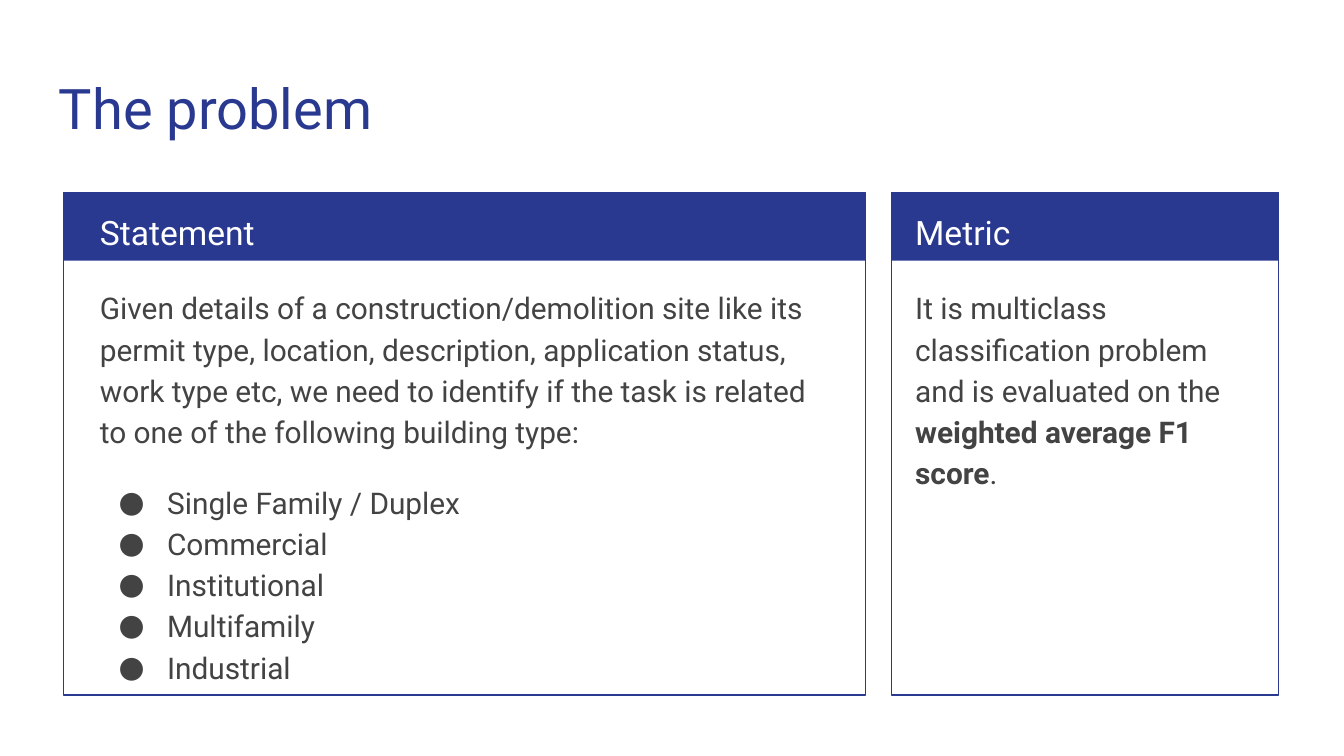
from dataclasses import dataclass
from typing import Optional

from lxml.etree import SubElement
from pptx import Presentation
from pptx.dml.color import RGBColor
from pptx.enum.shapes import MSO_SHAPE
from pptx.oxml.ns import qn
from pptx.util import Pt

NAVY, GREY, WHITE = "2A3990", "434343", "FFFFFF"
FONT = "Roboto"
TOP, HEAD, TALL = 103, 36.7, 269.3


@dataclass
class Run:
    text: str
    bold: bool = False


@dataclass
class Para:
    runs: list[Run]
    dot: bool = False
    before: float = 0
    after: float = 0


@dataclass
class Panel:
    left: float
    width: float
    inset: float
    span: float
    title: str
    body: list[Para]


def color(code: str) -> RGBColor:
    return RGBColor.from_string(code)


def add_dot(para) -> None:
    props = para._p.get_or_add_pPr()
    props.set("marL", str(Pt(36)))
    props.set("indent", str(Pt(-26)))
    tint = SubElement(props, qn("a:buClr"))
    SubElement(tint, qn("a:srgbClr"), val=GREY)
    SubElement(props, qn("a:buFont"), typeface=FONT)
    SubElement(props, qn("a:buChar"), char="●")


def add_text(slide, left: float, top: float, width: float, height: float,
             paras: list[Para], size: float, tint: str,
             gap: float = 1.15) -> None:
    frame = slide.shapes.add_textbox(
        Pt(left), Pt(top), Pt(width), Pt(height)).text_frame
    frame.word_wrap = True
    frame.margin_left = frame.margin_right = Pt(7.2)
    frame.margin_top = frame.margin_bottom = Pt(7.2)
    for i, item in enumerate(paras):
        para = frame.add_paragraph() if i else frame.paragraphs[0]
        para.line_spacing = gap
        para.space_before = Pt(item.before)
        para.space_after = Pt(item.after)
        if item.dot:
            add_dot(para)
        for part in item.runs:
            run = para.add_run()
            run.text = part.text
            run.font.name = FONT
            run.font.size = Pt(size)
            run.font.bold = part.bold
            run.font.color.rgb = color(tint)


def add_box(slide, left: float, width: float, height: float,
            fill: Optional[str] = None, line: Optional[str] = None) -> None:
    box = slide.shapes.add_shape(
        MSO_SHAPE.RECTANGLE, Pt(left), Pt(TOP), Pt(width), Pt(height))
    box.shadow.inherit = False
    if fill:
        box.fill.solid()
        box.fill.fore_color.rgb = color(fill)
    else:
        box.fill.background()
    if line:
        box.line.color.rgb = color(line)
        box.line.width = Pt(0.75)
    else:
        box.line.fill.background()


def add_panel(slide, panel: Panel) -> None:
    add_box(slide, panel.left, panel.width, HEAD, fill=NAVY)
    add_box(slide, panel.left, panel.width, TALL, line=NAVY)
    left = panel.left + panel.inset
    add_text(slide, left, TOP, panel.span, 36,
             [Para([Run(panel.title)])], 18, WHITE)
    add_text(slide, left, 145.4, panel.span, 220.3, panel.body, 16, GREY)


def main() -> None:
    deck = Presentation()
    deck.slide_width, deck.slide_height = Pt(720), Pt(405)
    slide = deck.slides.add_slide(deck.slide_layouts[6])
    add_text(slide, 24.5, 32.4, 671, 47.5,
             [Para([Run("The problem")])], 30, NAVY, 1)
    types = ["Single Family / Duplex", "Commercial", "Institutional",
             "Multifamily", "Industrial"]
    intro = Para([Run(
        "Given details of a construction/demolition site like its permit "
        "type, location, description, application status, work type etc, "
        "we need to identify if the task is related to one of the "
        "following building type:")])
    items = [Para([Run(name)], dot=True, before=0 if i else 16)
             for i, name in enumerate(types)]
    metric = Para([
        Run("It is multiclass classification problem and is evaluated on the "),
        Run("weighted average F1 score", True),
        Run("."),
    ], after=16)
    panels = [
        Panel(33.9, 429.8, 12.6, 405.4, "Statement", [intro, *items]),
        Panel(477.6, 207.2, 5.6, 195.4, "Metric", [metric]),
    ]
    for panel in panels:
        add_panel(slide, panel)
    deck.save("out.pptx")


if __name__ == "__main__":
    main()
